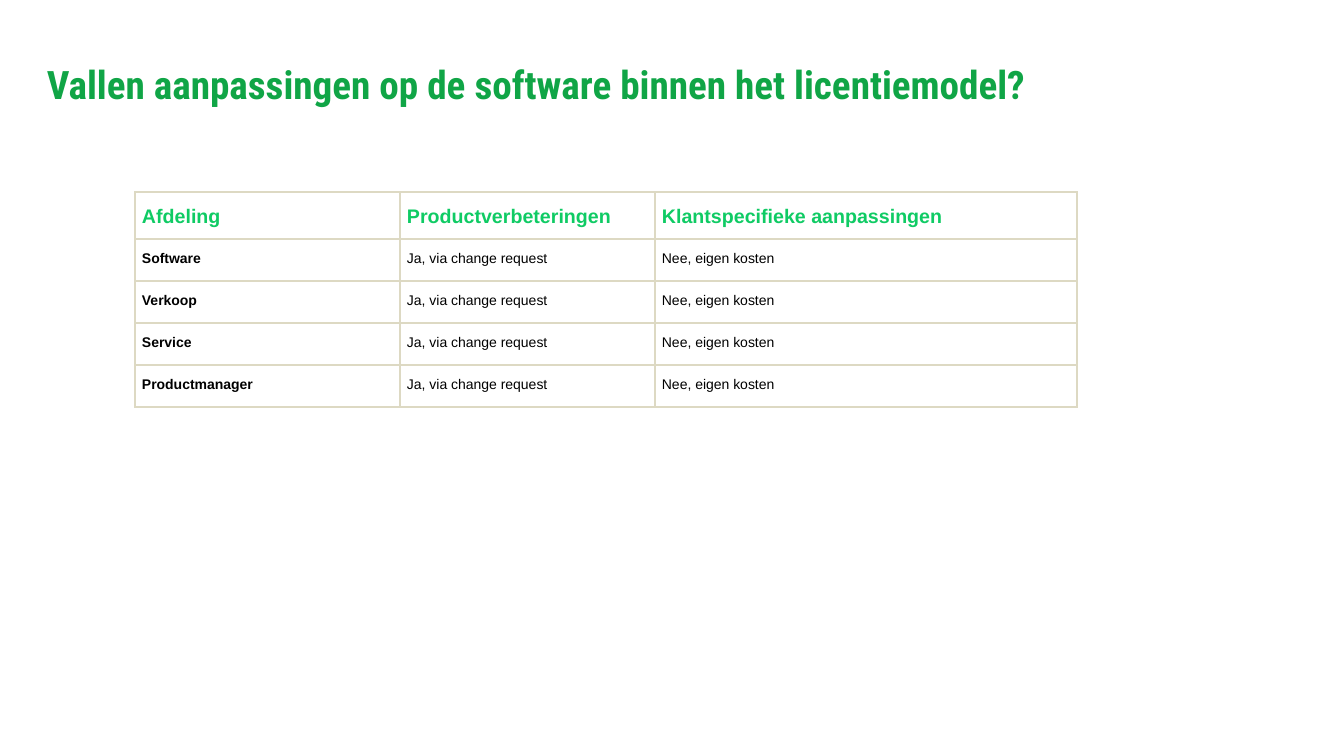
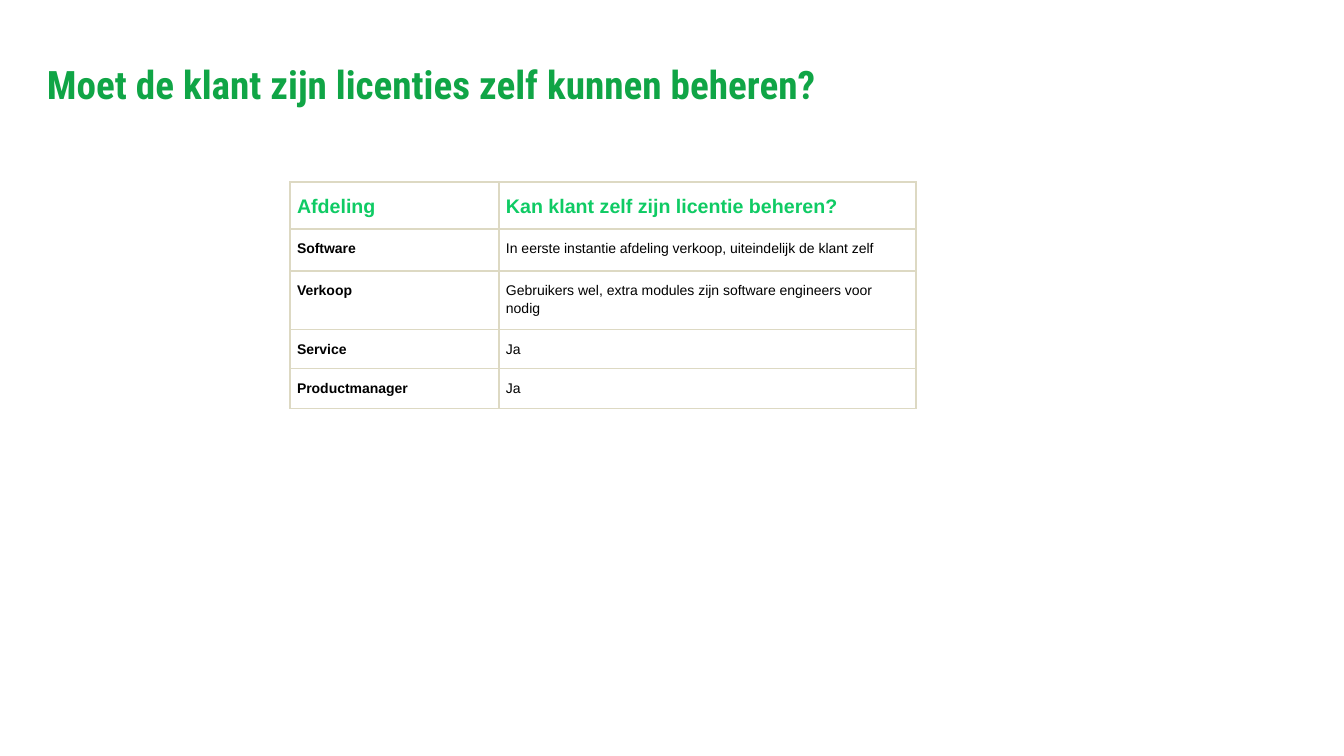
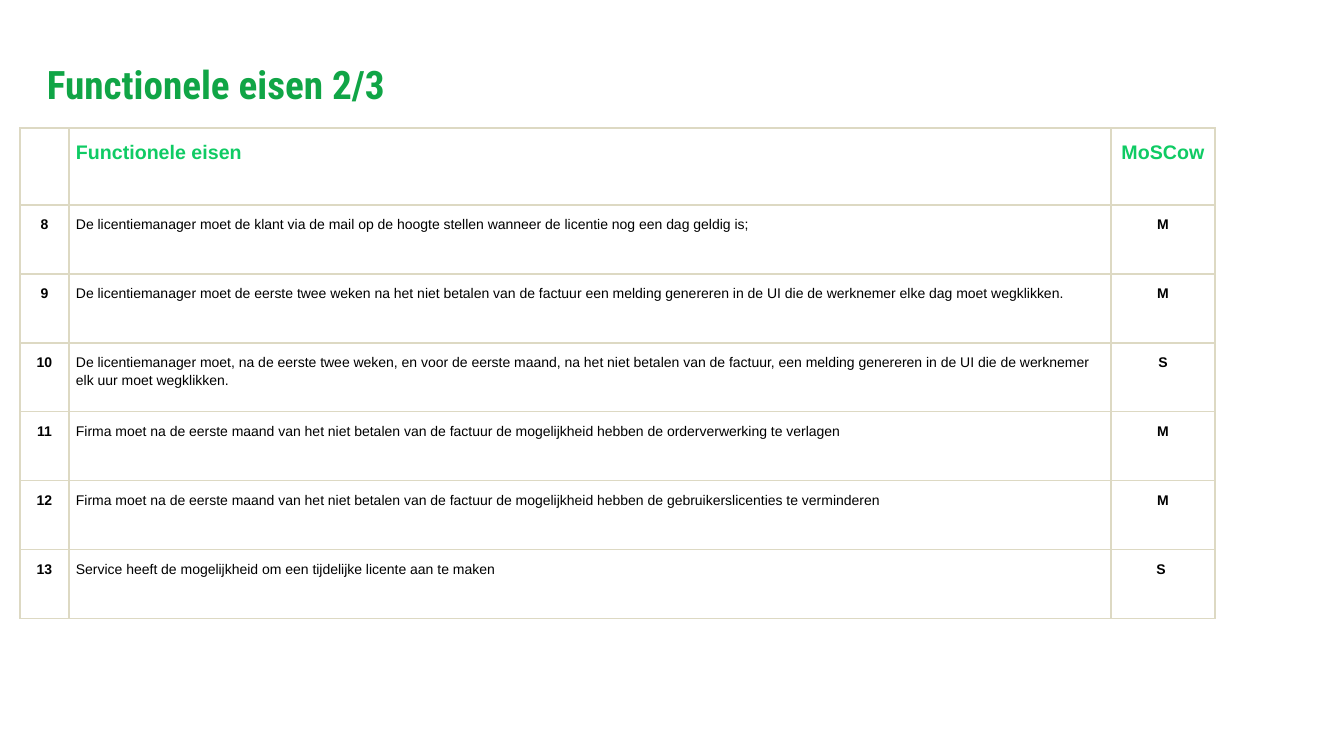
from lxml import etree
from pptx import Presentation
from pptx import util as u
from pptx.dml import color
from pptx.enum import text
from pptx.oxml import ns

EMU_PER_PX = 914400 / 100.8
TITLE_GREEN = "10A546"
HEADER_GREEN = "0FCB64"
BLACK = "000000"
WHITE = "FFFFFF"
RULE = "DDD9C3"
TITLE_FONT = "Roboto Condensed"
TABLE_FONT = "Arial"
CHANGE_REQUEST = "Ja, via change request"
OWN_COST = "Nee, eigen kosten"
DEPARTMENTS = ["Software", "Verkoop", "Service", "Productmanager"]


def px(length):
    return u.Emu(round(length * EMU_PER_PX))


def rgb(value):
    return color.RGBColor.from_string(value)


def add_run(paragraph, wording, font, size, ink, bold):
    run = paragraph.add_run()
    run.text = wording
    run.font.name = font
    run.font.size = u.Pt(size)
    run.font.bold = bold
    run.font.color.rgb = rgb(ink)


def add_title(slide, wording):
    frame = slide.shapes.add_textbox(px(37), px(23), px(1139), px(90)).text_frame
    frame.word_wrap = True
    frame.vertical_anchor = text.MSO_ANCHOR.BOTTOM
    paragraph = frame.paragraphs[0]
    paragraph.line_spacing = 0.9
    add_run(paragraph, wording, TITLE_FONT, 28, TITLE_GREEN, True)


def add_borders(cell):
    properties = cell._tc.get_or_add_tcPr()
    for position, side in enumerate(("lnL", "lnR", "lnT", "lnB")):
        line = etree.Element(ns.qn("a:" + side), w=str(u.Pt(1)))
        fill = etree.SubElement(line, ns.qn("a:solidFill"))
        etree.SubElement(fill, ns.qn("a:srgbClr"), val=RULE)
        properties.insert(position, line)


def fill_cell(cell, wording, is_header, is_bold, is_centred):
    if is_header:
        cell.fill.solid()
        cell.fill.fore_color.rgb = rgb(WHITE)
    else:
        cell.fill.background()
    add_borders(cell)
    if not wording:
        return
    cell.margin_left = cell.margin_right = px(7)
    cell.margin_top = cell.margin_bottom = px(10)
    paragraph = cell.text_frame.paragraphs[0]
    paragraph.line_spacing = 1.15
    paragraph.space_before = paragraph.space_after = u.Pt(12)
    if is_centred:
        paragraph.alignment = text.PP_ALIGN.CENTER
    size, ink = (14, HEADER_GREEN) if is_header else (10, BLACK)
    add_run(paragraph, wording, TABLE_FONT, size, ink, is_header or is_bold)


def add_grid(slide, left, top, widths, heights, rows, bold=(0,), centred=()):
    grid = slide.shapes.add_table(
        len(rows), len(widths), px(left), px(top), px(sum(widths)), px(sum(heights))
    ).table
    grid.first_row = grid.horz_banding = False
    for column, width in zip(grid.columns, widths):
        column.width = px(width)
    for r, (height, row) in enumerate(zip(heights, rows)):
        grid.rows[r].height = px(height)
        for c, wording in enumerate(row):
            fill_cell(grid.cell(r, c), wording, r == 0, c in bold, c in centred)


def add_titled_slide(deck, title):
    slide = deck.slides.add_slide(deck.slide_layouts[6])
    add_title(slide, title)
    return slide


def main():
    deck = Presentation()
    deck.slide_width, deck.slide_height = px(1344), px(756)

    changes = add_titled_slide(
        deck, "Vallen aanpassingen op de software binnen het licentiemodel?")
    add_grid(
        changes, 135, 192, [265, 255, 422], [45] + [42] * 4,
        [["Afdeling", "Productverbeteringen", "Klantspecifieke aanpassingen"]]
        + [[name, CHANGE_REQUEST, OWN_COST] for name in DEPARTMENTS])

    management = add_titled_slide(
        deck, "Moet de klant zijn licenties zelf kunnen beheren?")
    answers = [
        "In eerste instantie afdeling verkoop, uiteindelijk de klant zelf",
        "Gebruikers wel, extra modules zijn software engineers voor nodig",
        "Ja",
        "Ja",
    ]
    add_grid(
        management, 290, 182, [209, 417], [45, 42, 56, 38, 38],
        [["Afdeling", "Kan klant zelf zijn licentie beheren?"]]
        + list(zip(DEPARTMENTS, answers)))

    requirements = add_titled_slide(deck, "Functionele eisen 2/3")
    demands = [
        ("De licentiemanager moet de klant via de mail op de hoogte stellen "
         "wanneer de licentie nog een dag geldig is;", "M"),
        ("De licentiemanager moet de eerste twee weken na het niet betalen van "
         "de factuur een melding genereren in de UI die de werknemer elke dag "
         "moet wegklikken.", "M"),
        ("De licentiemanager moet, na de eerste twee weken, en voor de eerste "
         "maand, na het niet betalen van de factuur, een melding genereren in "
         "de UI die de werknemer elk uur moet wegklikken.", "S"),
        ("Firma moet na de eerste maand van het niet betalen van de factuur de "
         "mogelijkheid hebben de orderverwerking te verlagen", "M"),
        ("Firma moet na de eerste maand van het niet betalen van de factuur de "
         "mogelijkheid hebben de gebruikerslicenties te verminderen", "M"),
        ("Service heeft de mogelijkheid om een tijdelijke licente aan te maken",
         "S "),
    ]
    add_grid(
        requirements, 20, 128, [49, 1042, 104], [77] + [69] * 6,
        [["", "Functionele eisen", "MoSCow"]]
        + [[str(number), demand, priority]
           for number, (demand, priority) in enumerate(demands, 8)],
        bold=(0, 2), centred=(0, 2))

    deck.save("out.pptx")


if __name__ == "__main__":
    main()
